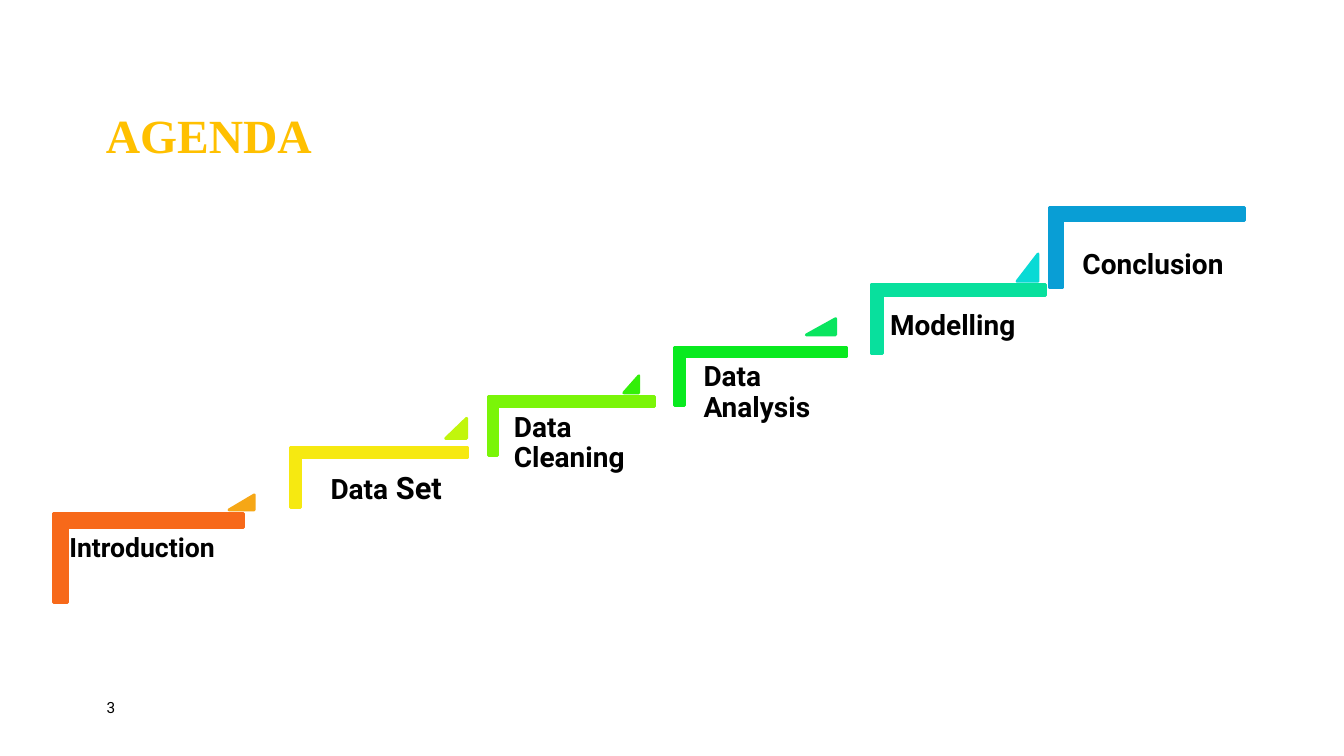
from dataclasses import dataclass

from pptx import Presentation
from pptx.dml.color import RGBColor
from pptx.enum.shapes import MSO_SHAPE
from pptx.enum.text import MSO_ANCHOR
from pptx.shapes.autoshape import Shape
from pptx.slide import Slide
from pptx.util import Cm, Pt

COLORS = {
    "title": "FFC000",
    "text": "000000",
    "orange": "F7691A",
    "amber": "F6A716",
    "yellow": "F6E911",
    "lime": "C1F60C",
    "chartreuse": "7AF508",
    "leaf": "33EF09",
    "green": "09EA1F",
    "emerald": "09E55F",
    "mint": "08E09D",
    "cyan": "09DAD5",
    "blue": "099ED5",
}
BODY_FONT = "Roboto"
TITLE_FONT = "Times New Roman"
CORNER_THICKNESS = 0.161
LABEL_INSET = 0.2


@dataclass(frozen=True)
class Box:
    left: float
    top: float
    width: float
    height: float

    def lengths(self) -> tuple[Cm, Cm, Cm, Cm]:
        return Cm(self.left), Cm(self.top), Cm(self.width), Cm(self.height)


@dataclass(frozen=True)
class Phrase:
    text: str
    size: float
    color: str = "text"
    font: str = BODY_FONT
    bold: bool = True


@dataclass(frozen=True)
class Step:
    color: str
    corner: Box
    label: Box
    phrases: tuple[Phrase, ...]


@dataclass(frozen=True)
class Rise:
    color: str
    box: Box


STEPS = (
    Step("orange", Box(2.62, 11.66, 2.24, 4.8), Box(1.55, 13.26, 4.9, 1.73),
         (Phrase("Introduction", 19),)),
    Step("yellow", Box(8.81, 9.8, 1.5, 4.47), Box(8.13, 11.71, 3.76, 0.94),
         (Phrase("Data", 20), Phrase(" Set", 22))),
    Step("chartreuse", Box(13.67, 8.64, 1.47, 4.19), Box(12.75, 10.21, 3.94, 2.24),
         (Phrase("Data Cleaning", 20),)),
    Step("green", Box(18.44, 7.32, 1.47, 4.34), Box(17.53, 8.94, 3.91, 1.93),
         (Phrase("Data Analysis", 20),)),
    Step("mint", Box(23.27, 5.84, 1.75, 4.39), Box(22.23, 7.65, 5.38, 1.7),
         (Phrase("Modelling", 20),)),
    Step("blue", Box(27.89, 3.78, 2.03, 4.93), Box(27.08, 6.1, 4.57, 1.7),
         (Phrase("Conclusion", 20),)),
)

RISES = (
    Rise("amber", Box(5.77, 12.47, 0.64, 0.38)),
    Rise("lime", Box(11.23, 10.54, 0.53, 0.51)),
    Rise("leaf", Box(15.72, 9.47, 0.38, 0.43)),
    Rise("emerald", Box(20.32, 8.03, 0.74, 0.41)),
    Rise("cyan", Box(25.63, 6.4, 0.53, 0.69)),
)


def rgb(name: str) -> RGBColor:
    return RGBColor.from_string(COLORS[name])


def draw_shape(slide: Slide, kind: MSO_SHAPE, box: Box, color: str) -> Shape:
    shape = slide.shapes.add_shape(kind, *box.lengths())
    shape.shadow.inherit = False
    shape.fill.solid()
    shape.fill.fore_color.rgb = rgb(color)
    shape.line.color.rgb = rgb(color)
    shape.line.width = Pt(2)
    return shape


def draw_text(slide: Slide, box: Box, phrases: tuple[Phrase, ...], inset: float = 0,
              anchor: MSO_ANCHOR = MSO_ANCHOR.TOP, spacing: float = 0.9) -> None:
    frame = slide.shapes.add_textbox(*box.lengths()).text_frame
    frame.word_wrap = True
    frame.vertical_anchor = anchor
    frame.margin_left = frame.margin_right = Cm(inset)
    frame.margin_top = frame.margin_bottom = Cm(inset)
    paragraph = frame.paragraphs[0]
    paragraph.line_spacing = spacing
    for phrase in phrases:
        run = paragraph.add_run()
        run.text = phrase.text
        run.font.name = phrase.font
        run.font.size = Pt(phrase.size)
        run.font.bold = phrase.bold
        run.font.color.rgb = rgb(phrase.color)


def draw_step(slide: Slide, step: Step) -> None:
    corner = draw_shape(slide, MSO_SHAPE.CORNER, step.corner, step.color)
    corner.rotation = 90
    corner.adjustments[0] = CORNER_THICKNESS
    corner.adjustments[1] = CORNER_THICKNESS
    draw_text(slide, step.label, step.phrases, LABEL_INSET)


def draw_rise(slide: Slide, rise: Rise) -> None:
    triangle = draw_shape(slide, MSO_SHAPE.ISOSCELES_TRIANGLE, rise.box, rise.color)
    triangle.adjustments[0] = 1


def main() -> None:
    presentation = Presentation()
    presentation.slide_width = Cm(33.87)
    presentation.slide_height = Cm(19.05)
    slide = presentation.slides.add_slide(presentation.slide_layouts[6])

    draw_text(slide, Box(2.67, 2.44, 13.72, 1.7),
              (Phrase("AGENDA", 34, "title", TITLE_FONT),), anchor=MSO_ANCHOR.BOTTOM)
    draw_text(slide, Box(2.69, 17.58, 1.45, 0.69),
              (Phrase("3", 11, bold=False),), spacing=1.0)
    for step in STEPS:
        draw_step(slide, step)
    for rise in RISES:
        draw_rise(slide, rise)

    presentation.save("out.pptx")


if __name__ == "__main__":
    main()
